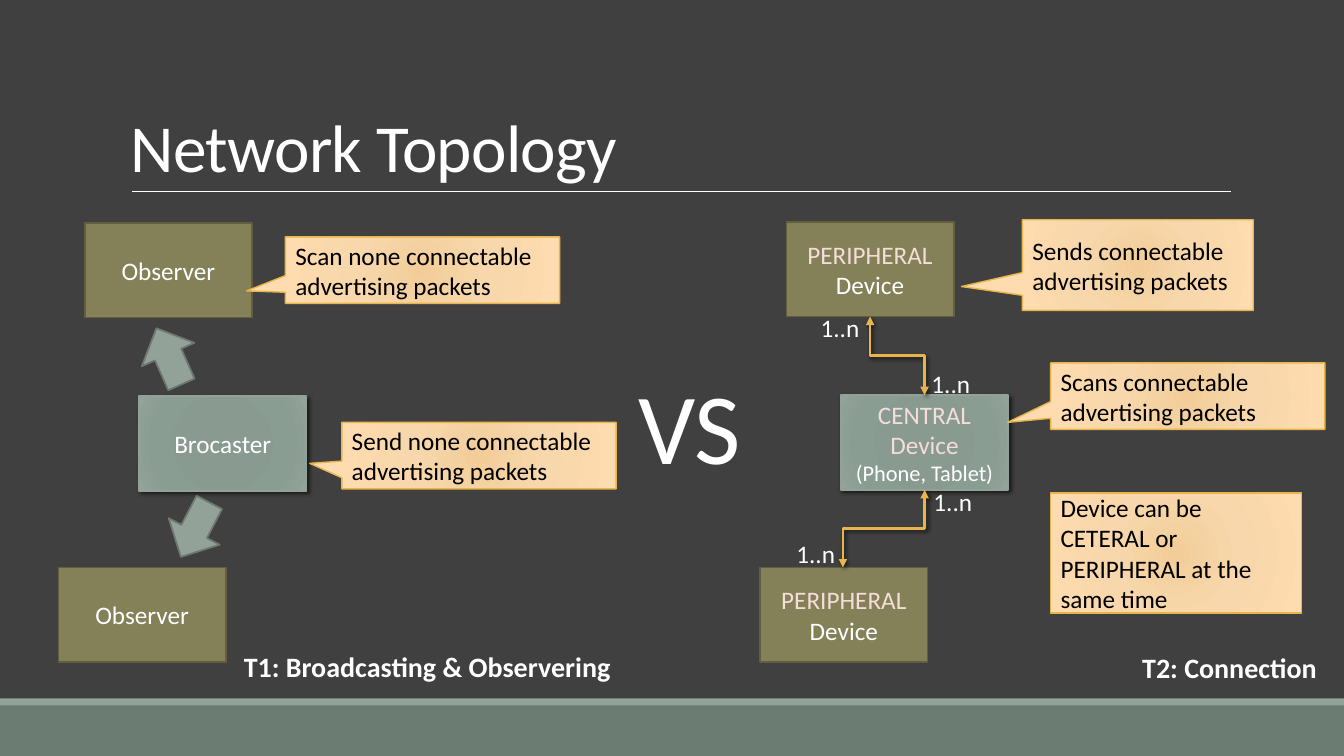
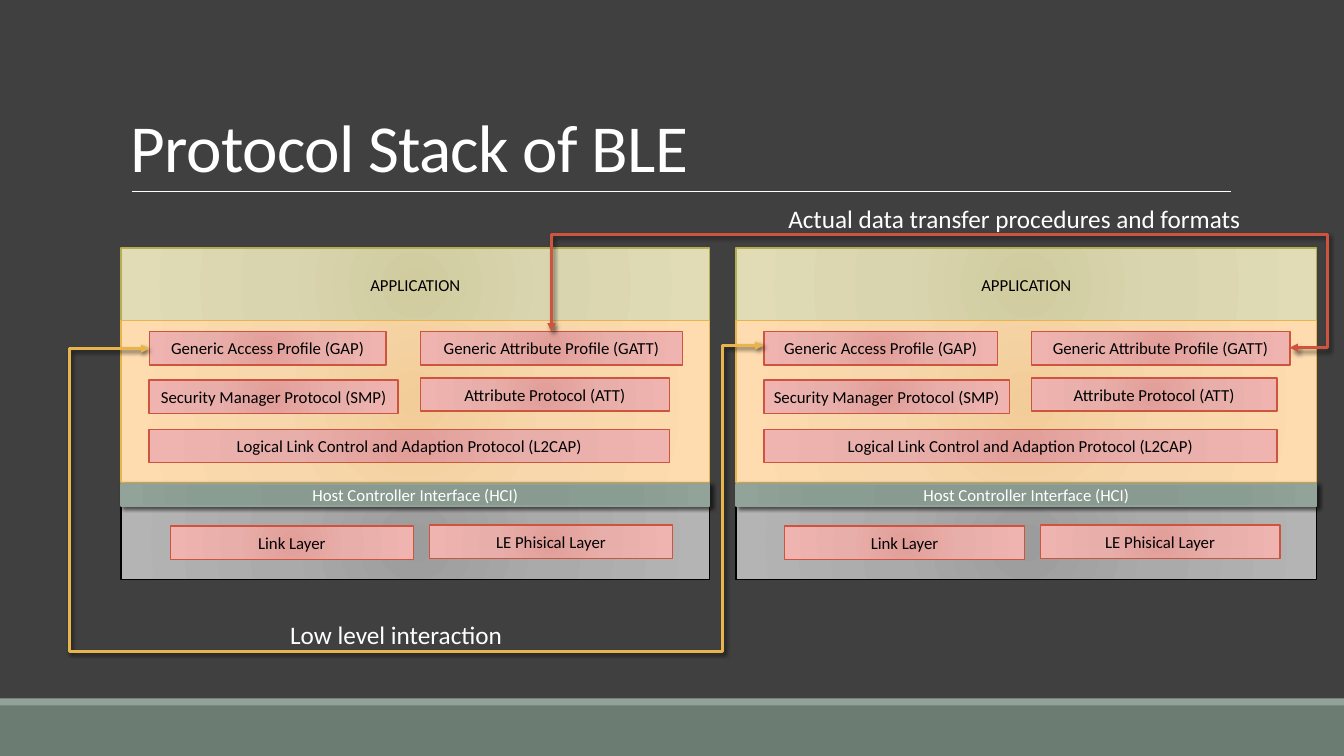
import pptx
import pptx.util
import pptx.dml.color
import pptx.enum.shapes
import pptx.enum.text
import pptx.oxml
import pptx.oxml.ns

Inches = pptx.util.Inches
Pt = pptx.util.Pt
rgb = pptx.dml.color.RGBColor.from_string
qn = pptx.oxml.ns.qn
SHAPE = pptx.enum.shapes.MSO_SHAPE
CONNECTOR = pptx.enum.shapes.MSO_CONNECTOR
ANCHOR = pptx.enum.text.MSO_ANCHOR
ALIGN = pptx.enum.text.PP_ALIGN
AUTO_SIZE = pptx.enum.text.MSO_AUTO_SIZE

NS = 'xmlns:a="http://schemas.openxmlformats.org/drawingml/2006/main"'
SHADOW = (
    f'<a:effectLst {NS}><a:outerShdw blurRad="38100" dist="25400" dir="2700000" rotWithShape="0">'
    '<a:srgbClr val="000000"><a:alpha val="60000"/></a:srgbClr></a:outerShdw></a:effectLst>'
)
FONT = "Calibri"
WHITE, BLACK, BLUSH = "FFFFFF", "000000", "F5DDD9"
SAGE, GOLD, RED = "93A299", "E8B54D", "CF543F"

# style: gradient stops or a single fill, line colour, line width, shadow
OLIVE_BOX = ([(0, "848058")], "625F41", 1.25, False)
SAGE_ARROW = ([(0, SAGE)], "6D7871", 1.25, False)
SAGE_BOX = ([(0, "87998E"), (34, "899A90"), (70, "8A9D92"), (100, "92A399")], SAGE, 1, True)
GOLD_BOX = ([(0, "F2CD99"), (45, "F7D7AB"), (100, "FEDCAF")], GOLD, 1, False)
LIME_BOX = ([(0, "D1CC9F"), (45, "D9D5AF"), (100, "E1DCB5")], "B5AE53", 1, False)
GREY_BOX = ([(0, "9C9C9C"), (45, "AAAAAA"), (100, "B4B4B4")], BLACK, 1, False)
RED_BOX = ([(0, "E29E98"), (45, "E8AEAA"), (100, "EFB4AF")], RED, 1, False)


def add_box(slide, at, style=None, runs=(), preset=SHAPE.RECTANGLE, align=ALIGN.CENTER, bold=False):
    place = [Inches(length) for length in at]
    if style is None:
        box = slide.shapes.add_textbox(*place)
        box.text_frame.word_wrap = False
        box.text_frame.auto_size = AUTO_SIZE.SHAPE_TO_FIT_TEXT
        align = ALIGN.LEFT
    else:
        stops, line, width, shadow = style
        box = slide.shapes.add_shape(preset, *place)
        box.shadow.inherit = False
        box.fill.solid()
        box.fill.fore_color.rgb = rgb(stops[0][1])
        properties = box._element.spPr
        if len(stops) > 1:
            marks = "".join(
                f'<a:gs pos="{position * 1000}"><a:srgbClr val="{colour}"/></a:gs>' for position, colour in stops
            )
            gradient = pptx.oxml.parse_xml(
                f'<a:gradFill {NS} rotWithShape="1"><a:gsLst>{marks}</a:gsLst><a:path path="circle">'
                '<a:fillToRect l="100000" t="100000" r="100000" b="100000"/></a:path></a:gradFill>'
            )
            properties.replace(properties.find(qn("a:solidFill")), gradient)
        if line:
            box.line.color.rgb = rgb(line)
            box.line.width = Pt(width)
        else:
            box.line.fill.background()
        if shadow:
            properties.replace(properties.find(qn("a:effectLst")), pptx.oxml.parse_xml(SHADOW))
        box.text_frame.vertical_anchor = ANCHOR.MIDDLE
    paragraph = box.text_frame.paragraphs[0]
    paragraph.alignment = align
    for index, (text, size, colour) in enumerate(runs):
        if index:
            paragraph.add_line_break()
        run = paragraph.add_run()
        run.text = text
        run.font.name = FONT
        run.font.size = Pt(size)
        run.font.bold = bold
        run.font.color.rgb = rgb(colour)
    return box


def add_elbow(slide, begin, end, colour, bends=(), upright=False):
    (x1, y1), (x2, y2) = begin, end
    if upright:
        x, y = (x1 + x2) / 2, (y1 + y2) / 2
        x1, y1, x2, y2 = x + y1 - y, y - x1 + x, x + y2 - y, y - x2 + x
    elbow = slide.shapes.add_connector(CONNECTOR.ELBOW, Inches(x1), Inches(y1), Inches(x2), Inches(y2))
    elbow.rotation = 90 if upright else 0
    elbow.line.color.rgb = rgb(colour)
    elbow.line.width = Pt(2)
    for end_tag in ("headEnd", "tailEnd"):
        elbow.line._get_or_add_ln().append(pptx.oxml.parse_xml(f'<a:{end_tag} {NS} type="triangle"/>'))
    properties = elbow._element.spPr
    properties.append(pptx.oxml.parse_xml(SHADOW))
    if bends:
        guides = ""
        for index, bend in enumerate(bends):
            start, stop = (y1, y2) if index % 2 else (x1, x2)
            ratio = round((bend - start) / (stop - start) * 100000)
            guides += f'<a:gd name="adj{index + 1}" fmla="val {ratio}"/>'
        geometry = pptx.oxml.parse_xml(
            f'<a:prstGeom {NS} prst="bentConnector{len(bends) + 2}"><a:avLst>{guides}</a:avLst></a:prstGeom>'
        )
        properties.replace(properties.find(qn("a:prstGeom")), geometry)


prs = pptx.Presentation()
prs.slide_width = Inches(13.33)
prs.slide_height = Inches(7.5)
backdrop = prs.slide_master.background.fill
backdrop.solid()
backdrop.fore_color.rgb = rgb("404040")

for heading in ("Network Topology", "Protocol Stack of BLE"):
    slide = prs.slides.add_slide(prs.slide_layouts[6])
    add_box(slide, (0, 7, 13.33, 0.5), ([(0, "6B7D72")], None, 0, False))
    add_box(slide, (0, 6.93, 13.33, 0.07), ([(0, SAGE)], None, 0, False))
    rule = slide.shapes.add_connector(CONNECTOR.STRAIGHT, Inches(1.31), Inches(1.9), Inches(12.21), Inches(1.9))
    rule.line.color.rgb = rgb(WHITE)
    rule.line.width = Pt(0.5)
    rule._element.spPr.append(pptx.oxml.parse_xml(f"<a:effectLst {NS}/>"))
    title = add_box(slide, (1.2, 0.31, 11, 1.59), None, [(heading, 48, WHITE)]).text_frame
    title.auto_size = AUTO_SIZE.NONE
    title.word_wrap = True
    title.vertical_anchor = ANCHOR.BOTTOM
    title.paragraphs[0].line_spacing = 0.85
    title.paragraphs[0].runs[0].font._element.set("spc", "-50")

topology, stack = prs.slides

observer = [("Observer", 18, WHITE)]
peripheral = [("PERIPHERAL", 18, BLUSH), ("Device", 18, WHITE)]
central = [("CENTRAL Device", 18, BLUSH), ("(Phone, Tablet)", 16, WHITE)]
for left, top, style, runs in (
    (1.38, 3.93, SAGE_BOX, [("Brocaster", 18, WHITE)]),
    (0.84, 2.21, OLIVE_BOX, observer),
    (0.58, 5.63, OLIVE_BOX, observer),
    (8.34, 3.92, SAGE_BOX, central),
    (7.8, 2.2, OLIVE_BOX, peripheral),
    (7.54, 5.63, OLIVE_BOX, peripheral),
):
    add_box(topology, (left, top, 1.66, 0.94), style, runs)

for left, top, angle in ((1.65, 4.95, 27.5), (1.39, 3.23, 156)):
    add_box(topology, (left, top, 0.57, 0.61), SAGE_ARROW, preset=SHAPE.DOWN_ARROW).rotation = angle

for at, tip, text in (
    ((3.39, 4.19, 2.72, 0.66), (-0.617, 0.117), "Send none connectable advertising packets"),
    ((2.83, 2.35, 2.72, 0.66), (-0.641, 0.313), "Scan none connectable advertising packets"),
    ((10.14, 2.18, 2.29, 0.9), (-0.764, 0.237), "Sends connectable advertising packets"),
    ((10.42, 3.6, 2.72, 0.66), (-0.657, 0.395), "Scans connectable advertising packets"),
):
    callout = add_box(topology, at, GOLD_BOX, [(text, 18, BLACK)], SHAPE.RECTANGULAR_CALLOUT, ALIGN.LEFT)
    callout.adjustments[0], callout.adjustments[1] = tip
both_roles = [("Device can be CETERAL or PERIPHERAL at the same time", 18, BLACK)]
add_box(topology, (10.42, 4.89, 2.49, 1.19), GOLD_BOX, both_roles, SHAPE.FLOWCHART_PROCESS, ALIGN.LEFT)

add_elbow(topology, (8.63, 3.14), (9.17, 3.92), GOLD, upright=True)
add_elbow(topology, (9.17, 4.86), (8.36, 5.63), GOLD, upright=True)
for left, top in ((8.04, 3.05), (9.14, 3.6), (9.16, 4.78), (7.8, 5.29)):
    add_box(topology, (left, top, 0.59, 0.4), None, [("1..n", 18, WHITE)])

add_box(topology, (6.23, 3.56, 1.23, 1.31), None, [("VS", 72, WHITE)])
add_box(topology, (2.32, 6.39, 3.87, 0.44), None, [("T1: Broadcasting & Observering", 20, WHITE)], bold=True)
add_box(topology, (11.23, 6.4, 1.95, 0.44), None, [("T2: Connection", 20, WHITE)], bold=True)

layers = (
    (0, 2.46, 5.84, 0.73, LIME_BOX, "APPLICATION", BLACK),
    (0, 5.02, 5.84, 0.73, GREY_BOX, "", BLACK),
    (0.49, 5.22, 2.41, 0.33, RED_BOX, "Link Layer", BLACK),
    (3.06, 5.21, 2.41, 0.33, RED_BOX, "LE Phisical Layer", BLACK),
    (0, 3.18, 5.84, 1.61, GOLD_BOX, "", BLACK),
    (0.28, 3.29, 2.35, 0.33, RED_BOX, "Generic Access Profile (GAP)", BLACK),
    (2.97, 3.29, 2.6, 0.33, RED_BOX, "Generic Attribute Profile (GATT)", BLACK),
    (0.28, 3.77, 2.47, 0.33, RED_BOX, "Security Manager Protocol (SMP)", BLACK),
    (2.97, 3.75, 2.47, 0.33, RED_BOX, "Attribute Protocol (ATT)", BLACK),
    (0.28, 4.26, 5.16, 0.33, RED_BOX, "Logical Link Control and Adaption Protocol (L2CAP)", BLACK),
    (0, 4.8, 5.84, 0.22, SAGE_BOX, "Host Controller Interface (HCI)", WHITE),
)
for stack_left, stack_width in ((1.2, 5.84), (7.3, 5.76)):
    scale = stack_width / 5.84
    for offset, top, width, height, style, text, colour in layers:
        runs = [(text, 12, colour)] if text else []
        add_box(stack, (stack_left + offset * scale, top, width * scale, height), style, runs)

add_elbow(stack, (1.48, 3.46), (7.57, 3.43), GOLD, (0.69, 6.47, 7.16))
add_elbow(stack, (12.79, 3.45), (5.47, 3.29), RED, (13.16, 2.33))
add_box(stack, (2.78, 6.09, 2.33, 0.4), None, [("Low level interaction", 18, WHITE)])
add_box(stack, (7.72, 1.97, 4.74, 0.4), None, [("Actual data transfer procedures and formats", 18, WHITE)])

prs.save("out.pptx")
